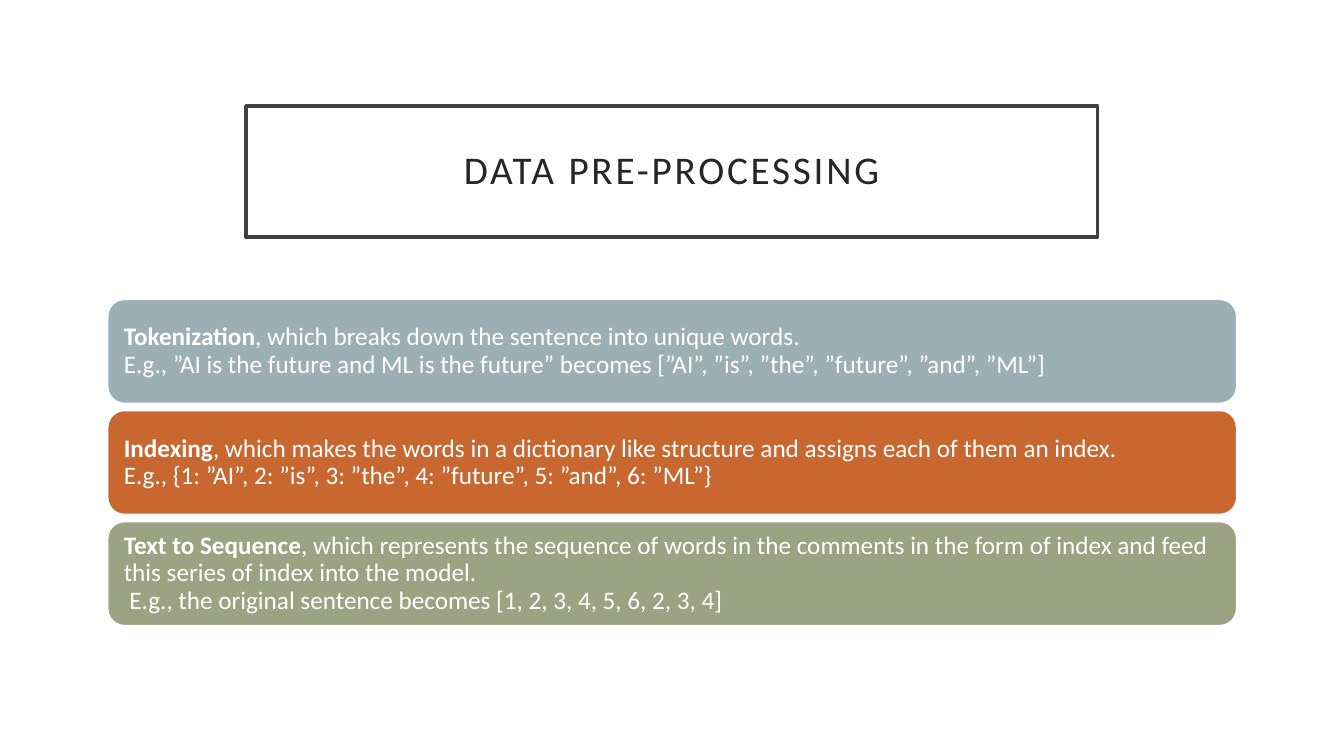
from pptx import Presentation
from pptx import util as u
from pptx.dml.color import RGBColor
from pptx.enum import shapes, text

COLOURS = {
    "white": "FFFFFF",
    "frame": "404040",
    "title": "262626",
    "tokenization": "9BAFB5",
    "indexing": "C96731",
    "sequence": "9CA383",
}
STEPS = [
    ("tokenization", "Tokenization",
     ", which breaks down the sentence into unique words.",
     "E.g., ”AI is the future and ML is the future” becomes "
     "[”AI”, ”is”, ”the”, ”future”, ”and”, ”ML”]"),
    ("indexing", "Indexing",
     ", which makes the words in a dictionary like structure and assigns each of them an index.",
     "E.g., {1: ”AI”, 2: ”is”, 3: ”the”, 4: ”future”, 5: ”and”, 6: ”ML”}"),
    ("sequence", "Text to Sequence",
     ", which represents the sequence of words in the comments in the form of index "
     "and feed this series of index into the model.",
     " E.g., the original sentence becomes [1, 2, 3, 4, 5, 6, 2, 3, 4]"),
]


def style_box(shape, fill, line, inset):
    shape.fill.solid()
    shape.fill.fore_color.rgb = RGBColor.from_string(COLOURS[fill])
    shape.line.color.rgb = RGBColor.from_string(COLOURS[line])
    shape.line.width = u.Pt(2.5)
    frame = shape.text_frame
    frame.word_wrap = True
    frame.auto_size = text.MSO_AUTO_SIZE.NONE
    frame.vertical_anchor = text.MSO_ANCHOR.MIDDLE
    frame.margin_left = frame.margin_right = inset
    frame.margin_top = frame.margin_bottom = inset


def style_paragraph(paragraph, size, colour, alignment):
    paragraph.alignment = alignment
    paragraph.line_spacing = 0.9
    for run in paragraph.runs:
        run.font.name = "Calibri"
        run.font.size = u.Pt(size)
        run.font.color.rgb = RGBColor.from_string(COLOURS[colour])


presentation = Presentation()
presentation.slide_width = u.Cm(33.87)
presentation.slide_height = u.Cm(19.05)
slide = presentation.slides.add_slide(presentation.slide_layouts[5])

# Framed title with wide letter spacing
title = slide.shapes.title
title.left, title.top = u.Cm(6.2), u.Cm(2.67)
title.width, title.height = u.Cm(21.46), u.Cm(3.3)
style_box(title, "white", "frame", u.Cm(0.5))
title.text_frame.text = "DATA PRE-PROCESSING"
heading = title.text_frame.paragraphs[0]
style_paragraph(heading, 28, "title", text.PP_ALIGN.CENTER)
heading.runs[0].font._element.set("spc", "200")

# One rounded bar per processing step
for index, (colour, name, description, example) in enumerate(STEPS):
    bar = slide.shapes.add_shape(
        shapes.MSO_SHAPE.ROUNDED_RECTANGLE,
        u.Cm(2.69), u.Cm(7.52 + 2.8 * index), u.Cm(28.5), u.Cm(2.67))
    bar.shadow.inherit = False
    style_box(bar, colour, "white", u.Cm(0.3))
    paragraph = bar.text_frame.paragraphs[0]
    paragraph.text = name
    paragraph.runs[0].font.bold = True
    paragraph.add_run().text = description
    paragraph.add_line_break()
    paragraph.add_run().text = example
    style_paragraph(paragraph, 18, "white", text.PP_ALIGN.LEFT)

presentation.save("out.pptx")
